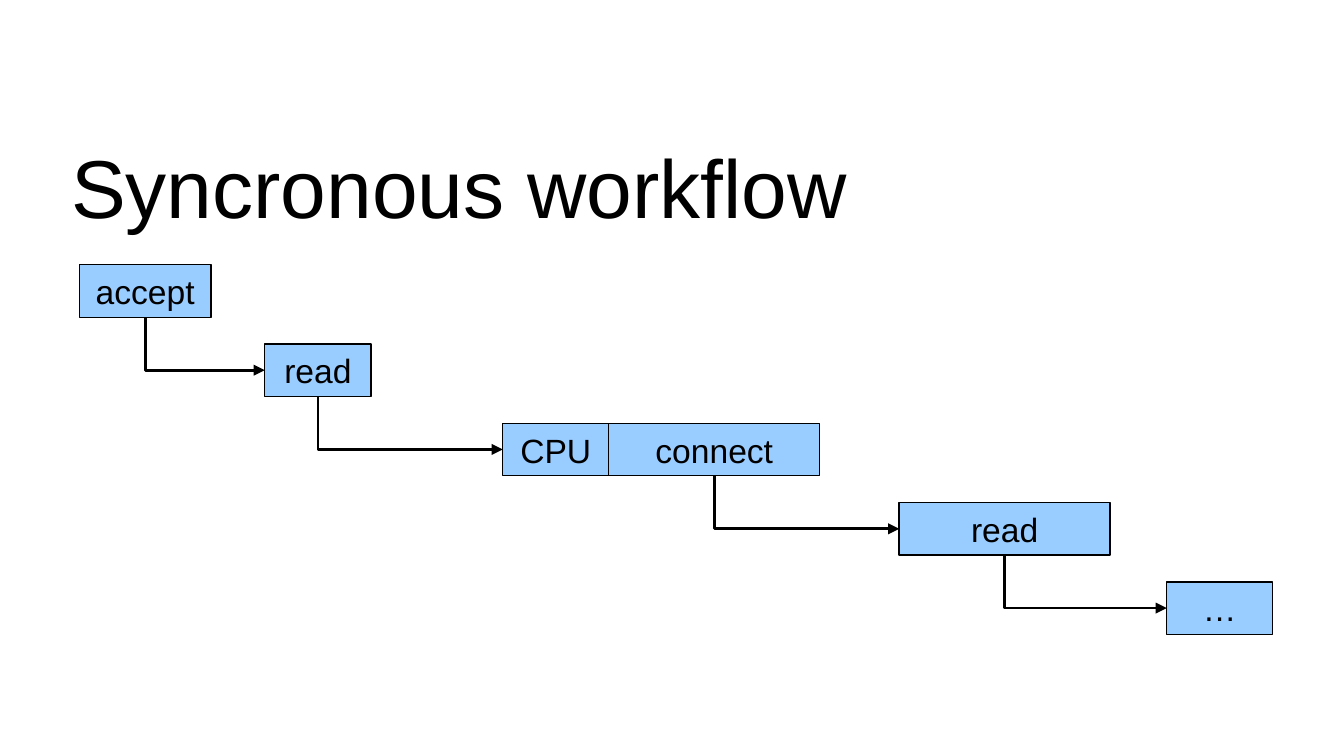
from pptx import Presentation
from pptx.dml.color import RGBColor
from pptx.enum.shapes import MSO_CONNECTOR, MSO_SHAPE
from pptx.enum.text import MSO_ANCHOR, PP_ALIGN
from pptx.oxml.ns import qn
from pptx.util import Inches, Pt
from lxml import etree

PROCESS = MSO_SHAPE.FLOWCHART_PROCESS
ELBOW = MSO_CONNECTOR.ELBOW
MIDDLE = MSO_ANCHOR.MIDDLE
LEFT, CENTER = PP_ALIGN.LEFT, PP_ALIGN.CENTER
BOTTOM_SITE, LEFT_SITE = 2, 1

# Content: label, row, left, width (inches)
TITLE = "Syncronous workflow"
STEPS = {
    "accept": ("accept", 0, 0.59, 0.98),
    "first read": ("read", 1, 1.97, 0.79),
    "cpu": ("CPU", 2, 3.74, 0.79),
    "connect": ("connect", 2, 4.53, 1.57),
    "second read": ("read", 3, 6.69, 1.57),
    "more": ("…", 4, 8.68, 0.79),
}
ARROWS = [
    ("accept", "first read"),
    ("first read", "cpu"),
    ("connect", "second read"),
    ("second read", "more"),
]

THEME = {
    "font": "Arial",
    "ink": RGBColor(0x00, 0x00, 0x00),
    "box": RGBColor(0x99, 0xCC, 0xFF),
    "title_size": 44,
    "step_size": 18,
    "arrow_width": 1.45,
}
SLIDE_WIDTH = Inches(10)
SLIDE_HEIGHT = SLIDE_WIDTH * 9 // 16
FIRST_ROW, ROW_STEP, BOX_HEIGHT = 1.97, 0.59, 0.39


def write_text(shape, text, size, align=LEFT, margins=(0.1, 0.05)):
    frame = shape.text_frame
    frame.word_wrap = True
    frame.vertical_anchor = MIDDLE
    frame.margin_left = frame.margin_right = Inches(margins[0])
    frame.margin_top = frame.margin_bottom = Inches(margins[1])
    paragraph = frame.paragraphs[0]
    paragraph.alignment = align
    run = paragraph.add_run()
    run.text = text
    run.font.name = THEME["font"]
    run.font.size = Pt(size)
    run.font.color.rgb = THEME["ink"]


def add_step(slide, label, row, left, width):
    top = FIRST_ROW + row * ROW_STEP
    shape = slide.shapes.add_shape(
        PROCESS, Inches(left), Inches(top), Inches(width), Inches(BOX_HEIGHT))
    shape.shadow.inherit = False
    shape.fill.solid()
    shape.fill.fore_color.rgb = THEME["box"]
    shape.line.color.rgb = THEME["ink"]
    shape.line.width = 0
    write_text(shape, label, THEME["step_size"], align=CENTER)
    return shape


def add_arrow(slide, source, target):
    """Go down from the source's bottom, then right to the target's left side."""
    start_x, start_y = source.left + source.width // 2, source.top + source.height
    end_x, end_y = target.left, target.top + target.height // 2
    connector = slide.shapes.add_connector(ELBOW, start_x, start_y, end_x, end_y)
    connector.begin_connect(source, BOTTOM_SITE)
    connector.end_connect(target, LEFT_SITE)

    # One bend, turned a quarter and flipped: the frame's sides swap
    run, drop = end_x - start_x, end_y - start_y
    connector.left = (start_x + end_x - drop) // 2
    connector.top = (start_y + end_y - run) // 2
    connector.width, connector.height = drop, run
    properties = connector.element.spPr
    properties.find(qn("a:prstGeom")).set("prst", "bentConnector2")
    transform = properties.find(qn("a:xfrm"))
    transform.set("rot", str(270 * 60000))
    transform.set("flipH", "1")

    connector.line.color.rgb = THEME["ink"]
    connector.line.width = Pt(THEME["arrow_width"])
    etree.SubElement(properties.find(qn("a:ln")), qn("a:tailEnd"), type="triangle")
    etree.SubElement(properties, qn("a:effectLst"))


def main():
    presentation = Presentation()
    presentation.slide_width, presentation.slide_height = SLIDE_WIDTH, SLIDE_HEIGHT
    slide = presentation.slides.add_slide(presentation.slide_layouts[6])

    # Title
    title = slide.shapes.add_textbox(Inches(0.53), Inches(1), Inches(9), Inches(0.76))
    write_text(title, TITLE, THEME["title_size"], margins=(0, 0))

    # Staircase of steps and the arrows between them
    boxes = {name: add_step(slide, *step) for name, step in STEPS.items()}
    for source, target in ARROWS:
        add_arrow(slide, boxes[source], boxes[target])

    presentation.save("out.pptx")


if __name__ == "__main__":
    main()
